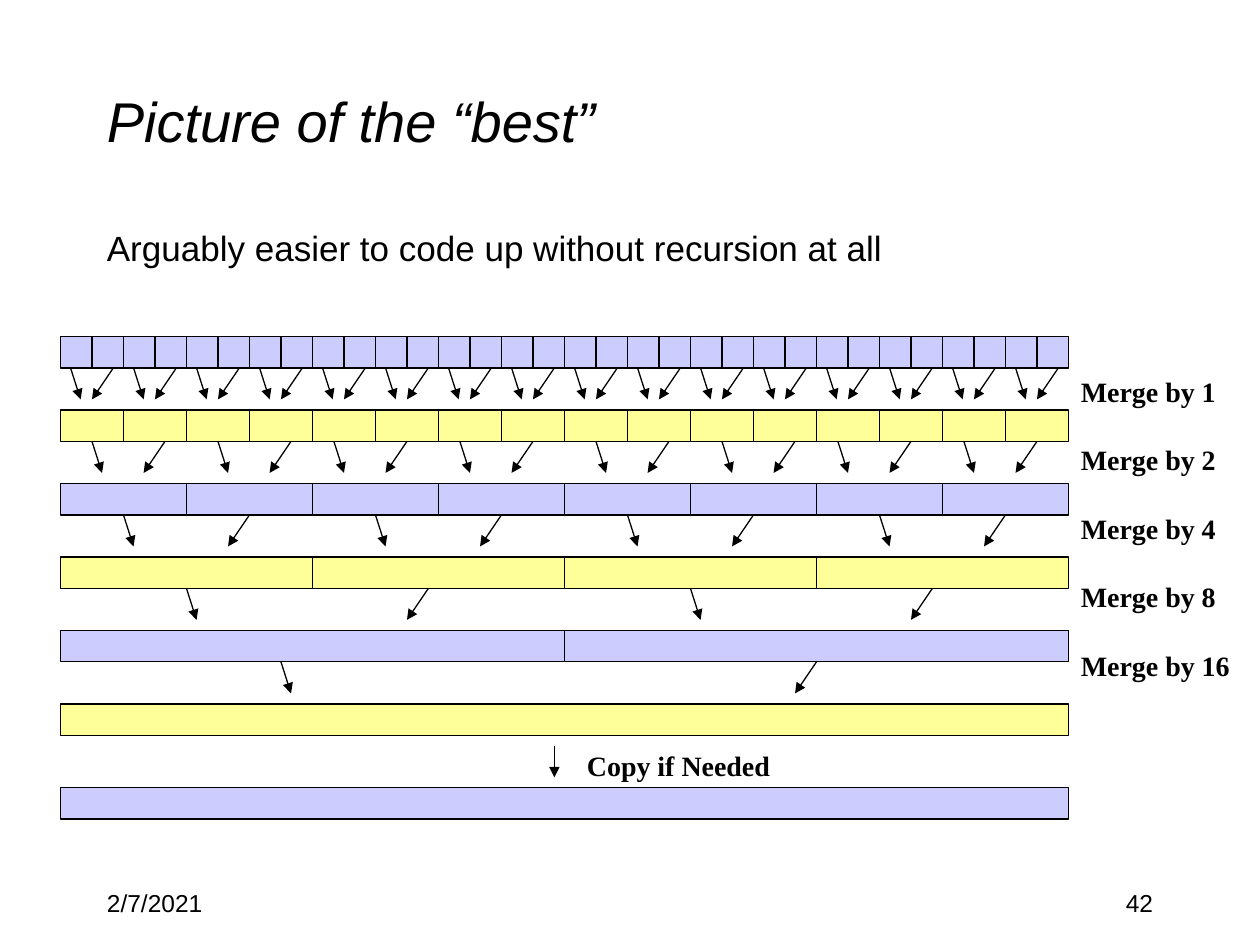
from itertools import cycle, islice

from lxml.etree import SubElement
from pptx import Presentation
from pptx.dml.color import RGBColor
from pptx.enum.shapes import MSO_CONNECTOR as Connector, MSO_SHAPE as Shape
from pptx.enum.text import MSO_ANCHOR as Anchor, MSO_AUTO_SIZE as AutoSize, PP_ALIGN as Align
from pptx.oxml.ns import qn
from pptx.util import Inches, Pt

COLORS = {"ink": "000000", "lilac": "CCCCFF", "yellow": "FFFF99"}
LEFT, WIDTH, BAR_HEIGHT = 0.48, 8, 0.25
FIRST_TOP, ROW_STEP = 2.67, 7 / 12
LEAF_COUNT = 32
ARROW_STARTS = [
    [(0.08, 0.42)],
    [(0.25, 0.83), (0.25, 0.83), (0.17, 0.75), (0.17, 0.75)],
    [(0.5, 1.5)],
    [(1, 2.92)],
    [(1.75, 6)],
]


class MergeSlide:
    """Draws text, bars and arrows in one style on the current slide."""

    def __init__(self, slide):
        self.slide = slide
        self.line_width = Pt(0.75)

    def color(self, name):
        return RGBColor.from_string(COLORS[name])

    def text(self, box, lines, size, font="Arial", bold=False, italic=False,
             align=Align.LEFT, anchor=Anchor.TOP, wrap=True, gap=0):
        frame = self.slide.shapes.add_textbox(*map(Inches, box)).text_frame
        frame.word_wrap = wrap
        frame.auto_size = AutoSize.NONE if wrap else AutoSize.SHAPE_TO_FIT_TEXT
        frame.vertical_anchor = anchor
        for index, line in enumerate(lines):
            paragraph = frame.add_paragraph() if index else frame.paragraphs[0]
            paragraph.alignment = align
            if index:
                paragraph.space_before = Pt(gap)
            run = paragraph.add_run()
            run.text = line
            run.font.name, run.font.size = font, Pt(size)
            run.font.bold, run.font.italic = bold, italic
            run.font.color.rgb = self.color("ink")

    def bar(self, left, top, width, fill):
        box = map(Inches, (left, top, width, BAR_HEIGHT))
        bar = self.slide.shapes.add_shape(Shape.RECTANGLE, *box)
        bar.shadow.inherit = False
        bar.fill.solid()
        bar.fill.fore_color.rgb = self.color(fill)
        bar.line.color.rgb = self.color("ink")
        bar.line.width = self.line_width

    def row(self, top, count, fill):
        width = WIDTH / count
        for index in range(count):
            self.bar(LEFT + index * width, top, width, fill)

    def arrow(self, left, top, shift=0.0):
        ends = map(Inches, (left, top, left + shift, top + 0.25))
        arrow = self.slide.shapes.add_connector(Connector.STRAIGHT, *ends)
        arrow.line.color.rgb = self.color("ink")
        arrow.line.width = self.line_width
        properties = arrow._element.spPr
        SubElement(properties.find(qn("a:ln")), qn("a:tailEnd"), type="triangle")
        SubElement(properties, qn("a:effectLst"))

    def merge_arrows(self, top, count, starts):
        for index, (first, second) in enumerate(islice(cycle(starts), count)):
            left = LEFT + index * WIDTH / count
            self.arrow(left + first, top, 0.08)
            self.arrow(left + second, top, -0.17)


def main():
    deck = Presentation()
    deck.slide_width, deck.slide_height = Inches(10), Inches(7.5)
    page = MergeSlide(deck.slides.add_slide(deck.slide_layouts[6]))

    page.text((0.75, 0.33, 8.5, 1.25), ["Picture of the “best”"], 32,
              italic=True, anchor=Anchor.MIDDLE)
    page.text((0.75, 1.75, 8.5, 0.42),
              ["Arguably easier to code up without recursion at all"], 20)
    page.text((0.75, 7, 2.08, 0.5), ["2/7/2021"], 14)
    page.text((7.17, 7, 2.08, 0.5), ["42"], 14, align=Align.RIGHT)

    fills = cycle(["lilac", "yellow"])
    page.row(FIRST_TOP, LEAF_COUNT, next(fills))
    for level, starts in enumerate(ARROW_STARTS):
        top = FIRST_TOP + level * ROW_STEP
        merged_count = LEAF_COUNT // 2 ** (level + 1)
        page.row(top + ROW_STEP, merged_count, next(fills))
        page.merge_arrows(top + BAR_HEIGHT, merged_count, starts)
    page.row(6.25, 1, next(fills))
    page.arrow(4.4, 5.92)

    label_style = {"size": 16, "font": "Times New Roman", "bold": True, "wrap": False}
    merge_labels = [f"Merge by {2 ** level}" for level in range(len(ARROW_STARTS))]
    page.text((8.48, 2.92, 1.44, 2.77), merge_labels, gap=20, **label_style)
    page.text((4.56, 5.89, 1.75, 0.37), ["Copy if Needed"], **label_style)

    deck.save("out.pptx")


if __name__ == "__main__":
    main()
